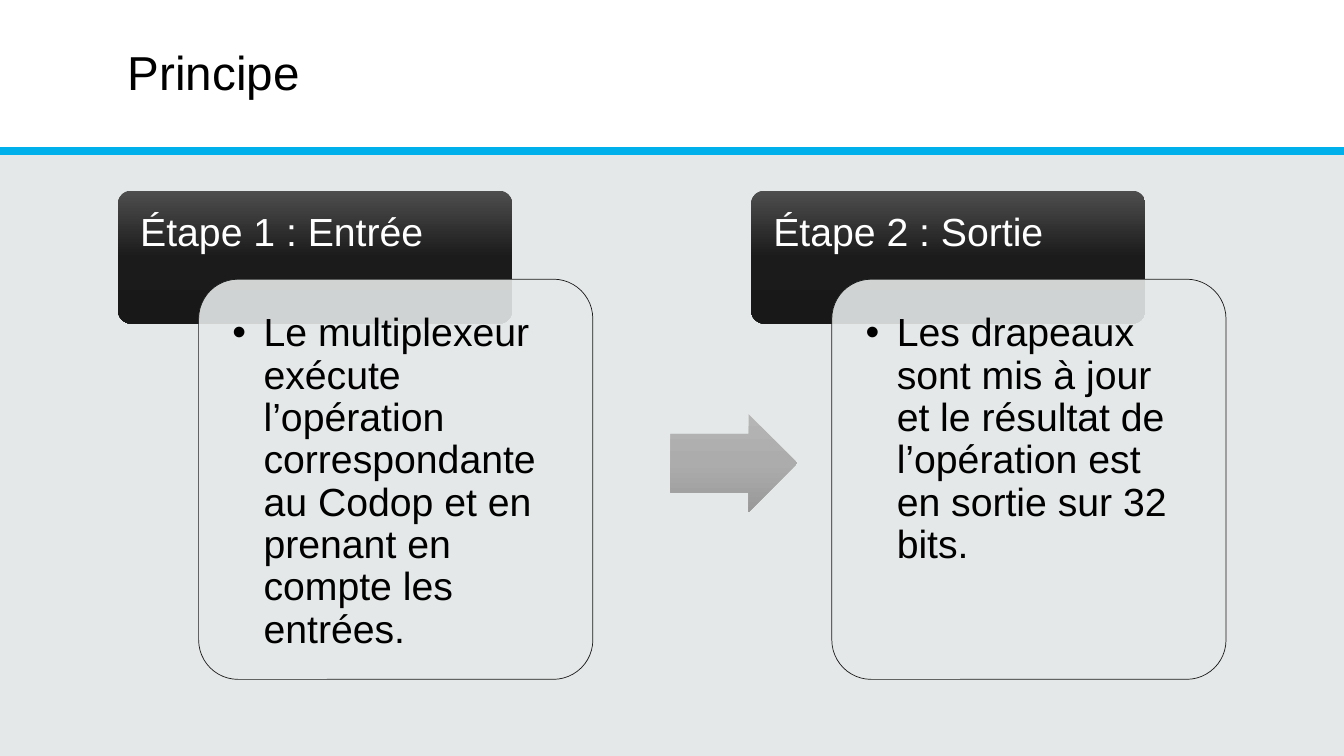
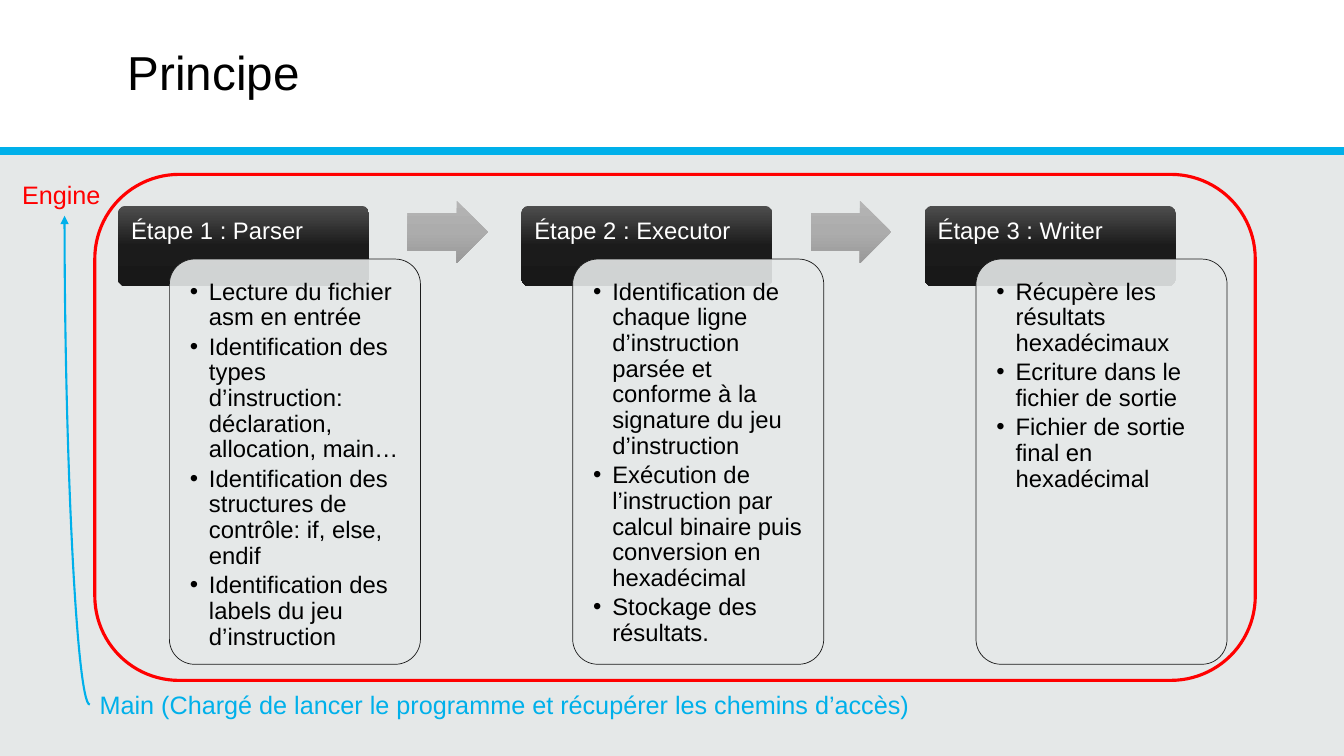
from pptx import Presentation
from pptx.dml.color import RGBColor
from pptx.enum.shapes import MSO_CONNECTOR, MSO_SHAPE
from pptx.enum.text import MSO_ANCHOR, PP_ALIGN
from pptx.oxml.ns import qn
from pptx.util import Inches, Pt
from copy import deepcopy
from lxml import etree

RECTANGLE = MSO_SHAPE.RECTANGLE
ROUNDED = MSO_SHAPE.ROUNDED_RECTANGLE
RIGHT_ARROW = MSO_SHAPE.RIGHT_ARROW
STRAIGHT, CURVE = MSO_CONNECTOR.STRAIGHT, MSO_CONNECTOR.CURVE
TOP, MIDDLE = MSO_ANCHOR.TOP, MSO_ANCHOR.MIDDLE
LEFT = PP_ALIGN.LEFT

# Shared style
FONT = "Arial"
WHITE, BLACK, RED = "FFFFFF", "000000", "FF0000"
BACKGROUND, ACCENT, DARK = "E5E8E8", "00B0EA", "1B1B1B"
HEADER_GRADIENT = ("4E4E4E", DARK, "181818")
ARROW_GRADIENT = ("B5B5B5", "ACACAC", "999999")
SLIDE_WIDTH, BAND_HEIGHT = 13.33, 1.5
MARGIN = 1.17
CORNER = 0.1
CORNER_INSET = 0.29 * CORNER  # text offset caused by a rounded corner


def rgb(color):
    return RGBColor.from_string(color)


def add_child(parent, tag, **attributes):
    return etree.SubElement(parent, qn(tag), attributes)


def set_gradient(shape, colors):
    """Spread the colours evenly from top to bottom."""
    shape.fill.gradient()
    shape.fill.gradient_angle = 270
    stop_list = next(shape._element.spPr.iter(qn("a:gsLst")))
    while len(stop_list) < len(colors):
        stop_list.append(deepcopy(stop_list[0]))
    for i, (stop, color) in enumerate(zip(shape.fill.gradient_stops, colors)):
        stop.color.rgb = rgb(color)
        stop.position = i / (len(colors) - 1)


def set_opacity(shape, percent):
    color = next(shape._element.spPr.iter(qn("a:srgbClr")))
    add_child(color, "a:alpha", val=str(percent * 1000))


def add_box(slide, kind, box, fill=None, line=None, line_width=1):
    """fill is a colour, a sequence of gradient colours or None."""
    shape = slide.shapes.add_shape(kind, *map(Inches, box))
    shape.shadow.inherit = False
    if fill is None:
        shape.fill.background()
    elif isinstance(fill, str):
        shape.fill.solid()
        shape.fill.fore_color.rgb = rgb(fill)
    else:
        set_gradient(shape, fill)
    if line:
        shape.line.color.rgb = rgb(line)
        shape.line.width = Pt(line_width)
    else:
        shape.line.fill.background()
    return shape


def add_line(slide, kind, start, end, color, width):
    line = slide.shapes.add_connector(kind, *map(Inches, start + end))
    line.line.color.rgb = rgb(color)
    line.line.width = Pt(width)
    add_child(line._element.spPr, "a:effectLst")
    return line


def set_insets(frame, left, top, right, bottom):
    frame.margin_left, frame.margin_top = Inches(left), Inches(top)
    frame.margin_right, frame.margin_bottom = Inches(right), Inches(bottom)


def write(frame, texts, size, color, anchor=TOP, spacing=1.0, bullet_indent=0):
    frame.word_wrap = True
    frame.vertical_anchor = anchor
    for i, text in enumerate(texts):
        paragraph = frame.paragraphs[0] if i == 0 else frame.add_paragraph()
        paragraph.text = text
        paragraph.alignment = LEFT
        paragraph.line_spacing = spacing
        if bullet_indent:
            paragraph.space_after = Pt(0.15 * size)
            properties = paragraph._p.get_or_add_pPr()
            properties.set("marL", str(Inches(bullet_indent)))
            properties.set("indent", str(-Inches(bullet_indent)))
            add_child(properties, "a:buFont", typeface=FONT)
            add_child(properties, "a:buChar", char="•")
        font = paragraph.font
        font.name, font.size = FONT, Pt(size)
        font.color.rgb = rgb(color)


def add_label(slide, box, text, size, color, **options):
    label = slide.shapes.add_textbox(*map(Inches, box))
    write(label.text_frame, [text], size, color, **options)


def add_titled_slide(prs, title):
    slide = prs.slides.add_slide(prs.slide_layouts[6])
    add_box(slide, RECTANGLE, (0, 0, SLIDE_WIDTH, BAND_HEIGHT), WHITE)
    add_line(slide, STRAIGHT, (0, BAND_HEIGHT), (SLIDE_WIDTH, BAND_HEIGHT), ACCENT, 6)
    add_label(slide, (MARGIN, 0.14, 11, 1.2), title, 34, BLACK,
              anchor=MIDDLE, spacing=0.9)
    return slide


def add_step(slide, header_box, card_box, heading, points, size, padding, indent):
    """A dark header with a translucent card of bullets overlapping it."""
    header = add_box(slide, ROUNDED, header_box, HEADER_GRADIENT)
    header.adjustments[0] = CORNER
    inset = padding - CORNER_INSET * header_box[3]
    set_insets(header.text_frame, inset, inset, inset, inset)
    write(header.text_frame, [heading], size, WHITE, spacing=0.9)

    card = add_box(slide, ROUNDED, card_box, BACKGROUND, DARK, 0.5)
    card.adjustments[0] = CORNER
    set_opacity(card, 90)
    set_insets(card.text_frame, padding, padding, padding, padding)
    write(card.text_frame, points, size, BLACK, spacing=0.9, bullet_indent=indent)


def add_process(slide, steps, pitch, width, header, card, arrow, **text_style):
    """header: top, height; card: offset, top, height; arrow: offset, top, width, height."""
    header_top, header_height = header
    card_offset, card_top, card_height = card
    arrow_offset, *arrow_rest = arrow
    for i, (heading, points) in enumerate(steps):
        left = MARGIN + i * pitch
        if i:
            block_arrow = add_box(slide, RIGHT_ARROW,
                                  (left - pitch + arrow_offset, *arrow_rest), ARROW_GRADIENT)
            block_arrow.adjustments[0] = 0.6
            block_arrow.adjustments[1] = 0.5
        add_step(slide, (left, header_top, width, header_height),
                 (left + card_offset, card_top, width, card_height),
                 heading, points, **text_style)


def add_launch_arrow(slide, top_left, bottom_right):
    """A quarter curve leaving leftwards from bottom right, ending upwards at top left."""
    arrow = add_line(slide, CURVE, top_left, bottom_right, ACCENT, 1.5)
    properties = arrow._element.spPr
    properties.find(qn("a:xfrm")).set("rot", str(180 * 60000))
    properties.find(qn("a:prstGeom")).set("prst", "curvedConnector2")
    add_child(properties.find(qn("a:ln")), "a:tailEnd", type="triangle")


def build_operation_slide(prs):
    slide = add_titled_slide(prs, "Principe")
    steps = [
        ("Étape 1 : Entrée",
         ["Le multiplexeur exécute l’opération correspondante au Codop et en prenant "
          "en compte les entrées."]),
        ("Étape 2 : Sortie",
         ["Les drapeaux sont mis à jour et le résultat de l’opération est en sortie "
          "sur 32 bits."]),
    ]
    add_process(slide, steps, pitch=6.28, width=3.91, header=(1.89, 1.32),
                card=(0.8, 2.77, 3.97), arrow=(5.48, 4.11, 1.26, 0.97),
                size=28, padding=0.22, indent=0.31)


def build_engine_slide(prs):
    slide = add_titled_slide(prs, "Principe")
    steps = [
        ("Étape 1 : Parser",
         ["Lecture du fichier asm en entrée",
          "Identification des types d’instruction: déclaration, allocation, main…",
          "Identification des structures de contrôle: if, else, endif",
          "Identification des labels du jeu d’instruction"]),
        ("Étape 2 : Executor",
         ["Identification de chaque ligne d’instruction parsée et conforme à la "
          "signature du jeu d’instruction",
          "Exécution de l’instruction par calcul binaire puis conversion en hexadécimal",
          "Stockage des résultats."]),
        ("Étape 3 : Writer",
         ["Récupère les résultats hexadécimaux",
          "Ecriture dans le fichier de sortie",
          "Fichier de sortie final en hexadécimal"]),
    ]
    add_process(slide, steps, pitch=4, width=2.49, header=(2.04, 0.8),
                card=(0.51, 2.57, 4.02), arrow=(2.87, 1.99, 0.8, 0.62),
                size=17, padding=0.13, indent=0.19)

    # Engine outline and the main program that launches it
    add_box(slide, ROUNDED, (0.94, 1.73, 11.51, 5.02), line=RED, line_width=2.25)
    add_label(slide, (0.12, 1.73, 1.05, 0.4), "Engine", 18, RED)
    add_label(slide, (0.89, 6.79, 11.86, 0.4),
              "Main (Chargé de lancer le programme et récupérer les chemins d’accès)",
              18, ACCENT)
    add_launch_arrow(slide, (0.64, 2.14), (0.89, 6.99))


def main():
    prs = Presentation()
    prs.slide_width, prs.slide_height = Inches(SLIDE_WIDTH), Inches(7.5)
    background = prs.slide_master.background.fill
    background.solid()
    background.fore_color.rgb = rgb(BACKGROUND)
    build_operation_slide(prs)
    build_engine_slide(prs)
    prs.save("out.pptx")


if __name__ == "__main__":
    main()
